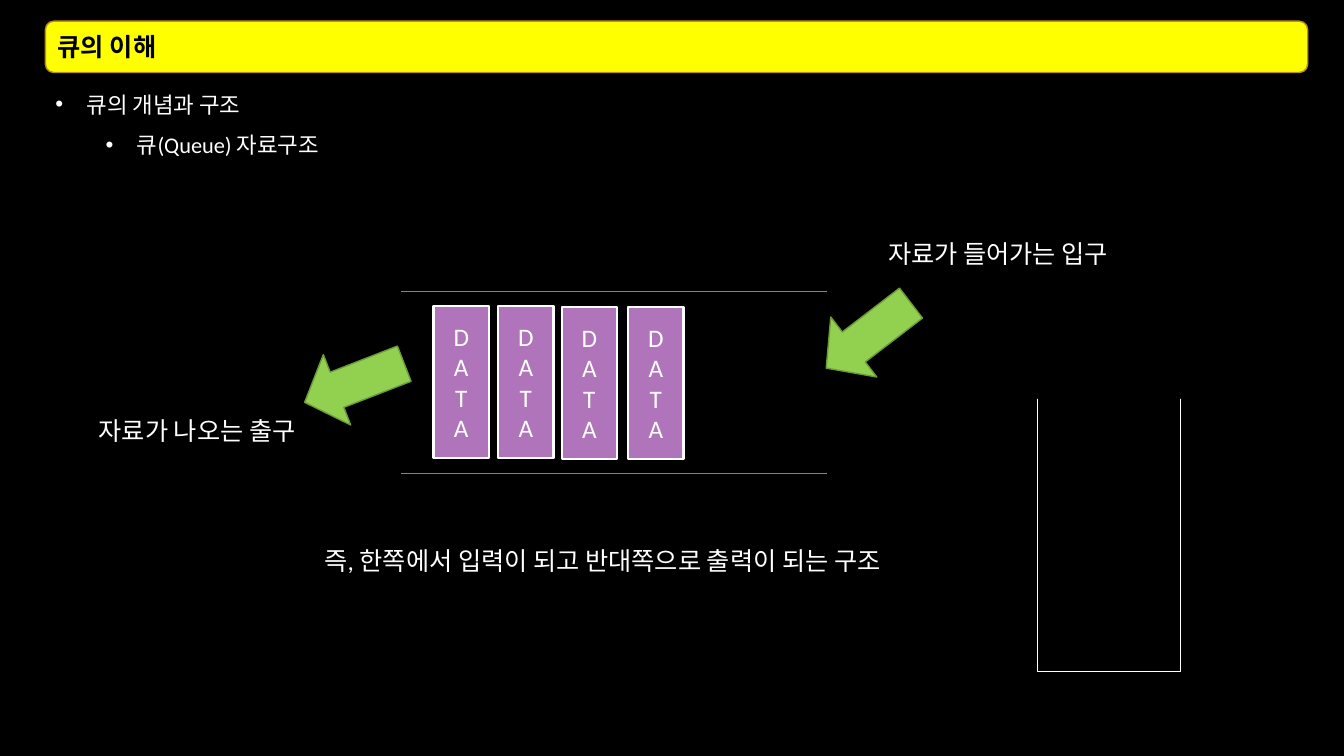
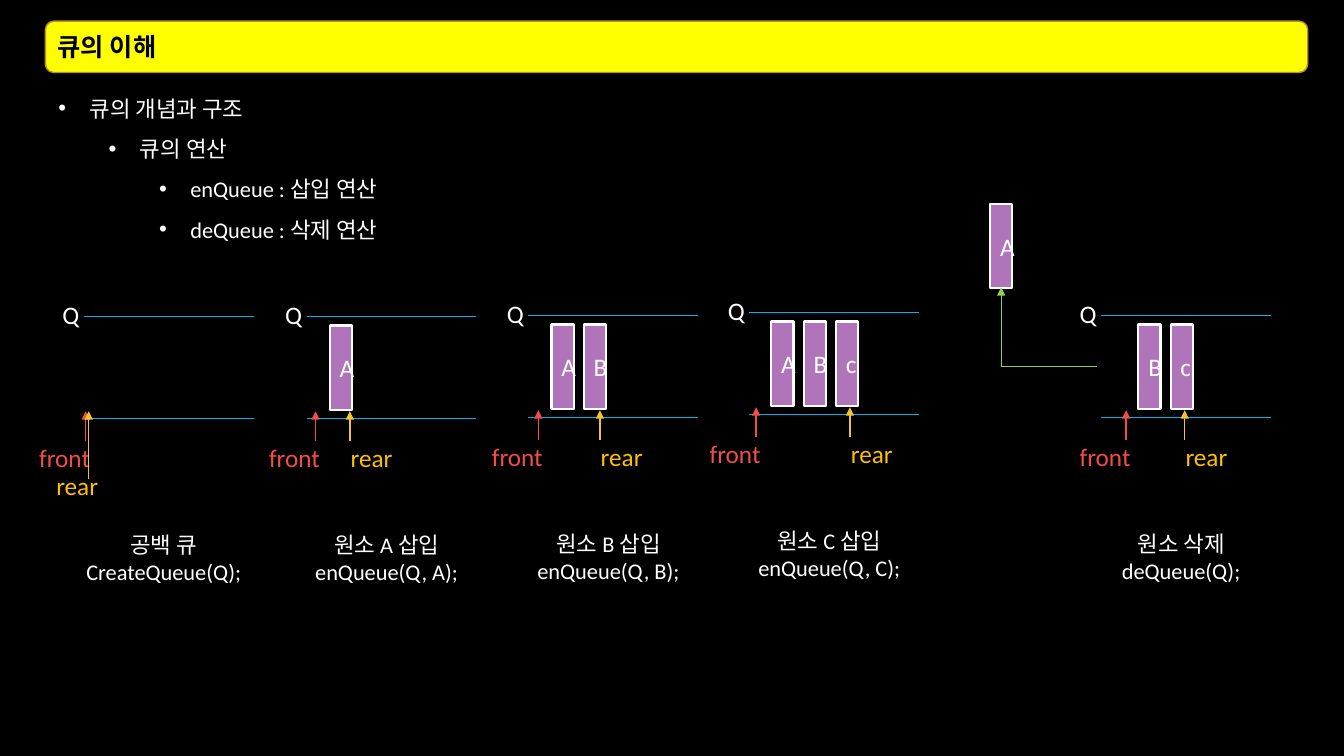
from dataclasses import dataclass
from typing import Any

import lxml.etree
import pptx
import pptx.dml.color
import pptx.enum.shapes
import pptx.enum.text
import pptx.oxml.ns
import pptx.shapes.autoshape
import pptx.shapes.connector
import pptx.slide
import pptx.text.text
import pptx.util

Inches = pptx.util.Inches
Preset = pptx.enum.shapes.MSO_SHAPE
Connector = pptx.enum.shapes.MSO_CONNECTOR
Align = pptx.enum.text.PP_ALIGN
Anchor = pptx.enum.text.MSO_ANCHOR
qn = pptx.oxml.ns.qn

COLORS = {
    "black": "000000", "white": "FFFFFF", "yellow": "FFFF00", "gold": "B79024",
    "blue": "00B0F0", "purple": "B074BA", "green": "92D050", "dark_green": "6C9A3B",
    "front": "F34D47", "rear_arrow": "F7C331", "rear": "FFC000",
}
FONT = "Calibri"


@dataclass(frozen=True)
class Box:
    left: float
    top: float
    width: float
    height: float

    def lengths(self) -> list[int]:
        return [Inches(v) for v in (self.left, self.top, self.width, self.height)]


@dataclass(frozen=True)
class Bullet:
    text: str
    level: int = 0


@dataclass(frozen=True)
class Pointer:
    name: str
    offset: float
    arrow_color: str
    label_shift: float
    label_drop: float = 0.0
    stem: float = 0.3


@dataclass(frozen=True)
class QueueState:
    caption: tuple[str, str]
    left: float
    top: float
    items: str
    first_item: float
    pointers: tuple[Pointer, Pointer]


def front(offset: float) -> Pointer:
    return Pointer("front", offset, "front", -0.56)


def rear(offset: float) -> Pointer:
    return Pointer("rear", offset, "rear_arrow", -0.09)


QUEUE_STATES = (
    QueueState(("공백 큐", "CreateQueue(Q);"), 0.79, 3.14, "", 0.27,
               (front(0.06), Pointer("rear", 0.09, "rear_arrow", -0.42, 0.28, 0.67))),
    QueueState(("원소 A 삽입", "enQueue(Q, A);"), 3.0, 3.14, "A", 0.27,
               (front(0.13), rear(0.47))),
    QueueState(("원소 B 삽입", "enQueue(Q, B);"), 5.2, 3.13, "AB", 0.27,
               (front(0.14), rear(0.75))),
    QueueState(("원소 C 삽입", "enQueue(Q, C);"), 7.39, 3.1, "ABc", 0.26,
               (front(0.11), rear(1.04))),
    QueueState(("원소 삭제", "deQueue(Q);"), 10.88, 3.13, "Bc", 0.41,
               (front(0.29), rear(0.87))),
)


def rgb(name: str) -> pptx.dml.color.RGBColor:
    return pptx.dml.color.RGBColor.from_string(COLORS[name])


def apply(target: Any, values: dict[str, Any]) -> None:
    for attribute, value in values.items():
        setattr(target, attribute, value)


def write(frame: pptx.text.text.TextFrame, lines: list[str], size: float = 18,
          color: str = "white", bold: bool = False,
          align: Align = Align.LEFT) -> None:
    for index, line in enumerate(lines):
        paragraph = frame.paragraphs[0] if index == 0 else frame.add_paragraph()
        paragraph.alignment = align
        run = paragraph.add_run()
        run.text = line
        apply(run.font, {"size": pptx.util.Pt(size), "name": FONT, "bold": bold})
        run.font.color.rgb = rgb(color)


def add_box(slide: pptx.slide.Slide, box: Box, fill: str = "black", line: str = "black",
            line_width: float = 1, preset: Preset = Preset.RECTANGLE,
            ) -> pptx.shapes.autoshape.Shape:
    shape = slide.shapes.add_shape(preset, *box.lengths())
    shape.shadow.inherit = False
    shape.fill.solid()
    shape.fill.fore_color.rgb = rgb(fill)
    shape.line.color.rgb = rgb(line)
    shape.line.width = pptx.util.Pt(line_width)
    return shape


def add_label(slide: pptx.slide.Slide, box: Box, lines: list[str], size: float = 18,
              color: str = "white", align: Align = Align.LEFT, wrap: bool = True) -> None:
    frame = slide.shapes.add_textbox(*box.lengths()).text_frame
    apply(frame, {"word_wrap": wrap,
                  "auto_size": pptx.enum.text.MSO_AUTO_SIZE.SHAPE_TO_FIT_TEXT})
    write(frame, lines, size, color, align=align)


def add_item(slide: pptx.slide.Slide, box: Box, letters: str) -> None:
    item = add_box(slide, box, "purple", "white", 1.5)
    write(item.text_frame, list(letters), align=Align.CENTER)


def add_arrow(slide: pptx.slide.Slide, start: tuple[float, float], end: tuple[float, float],
              color: str, width: float = 1, kind: Connector = Connector.STRAIGHT,
              head: str = "tailEnd") -> pptx.shapes.connector.Connector:
    ends = [Inches(v) for v in (*start, *end)]
    arrow = slide.shapes.add_connector(kind, *ends)
    arrow.line.color.rgb = rgb(color)
    arrow.line.width = pptx.util.Pt(width)
    lxml.etree.SubElement(arrow.line._get_or_add_ln(), qn(f"a:{head}"), type="triangle")
    lxml.etree.SubElement(arrow._element.spPr, qn("a:effectLst"))
    return arrow


def add_tube(slide: pptx.slide.Slide, box: Box) -> None:
    add_box(slide, box, line="blue")
    for across, down in ((0.984, -0.022), (-0.018, -0.039)):
        add_box(slide, Box(box.left + across * box.width, box.top + down * box.height,
                           0.037 * box.width, 1.055 * box.height))


def add_page(deck: Any, body: Box, bullets: list[Bullet]) -> pptx.slide.Slide:
    slide = deck.slides.add_slide(deck.slide_layouts[6])
    slide.background.fill.solid()
    slide.background.fill.fore_color.rgb = rgb("black")

    outline = add_box(slide, body).text_frame
    outline.vertical_anchor = Anchor.TOP
    write(outline, [bullet.text for bullet in bullets], 16)
    for paragraph, bullet in zip(outline.paragraphs, bullets):
        apply(paragraph, {"level": bullet.level, "line_spacing": 1.5})
        properties = paragraph._p.get_or_add_pPr()
        properties.set("marL", str(Inches(0.31 + 0.5 * bullet.level)))
        properties.set("indent", str(Inches(-0.31)))
        lxml.etree.SubElement(properties, qn("a:buFont"), typeface="Arial")
        lxml.etree.SubElement(properties, qn("a:buChar"), char="•")

    title = add_box(slide, Box(0.45, 0.21, 12.52, 0.51), "yellow", "gold",
                    preset=Preset.ROUNDED_RECTANGLE)
    title.text_frame.vertical_anchor = Anchor.MIDDLE
    write(title.text_frame, ["큐의 이해"], color="black", bold=True)
    return slide


def add_queue_state(slide: pptx.slide.Slide, state: QueueState) -> None:
    left, top = state.left, state.top
    add_label(slide, Box(left - 0.1, top + 2.08, 1.87, 0.64), list(state.caption), 16,
              align=Align.CENTER)
    add_tube(slide, Box(left, top, 1.76, 1.01))
    add_label(slide, Box(left - 0.27, top - 0.22, 0.38, 0.4), ["Q"], wrap=False)
    for index, letter in enumerate(state.items):
        add_item(slide, Box(left + state.first_item + 0.32 * index, top + 0.09, 0.22, 0.84),
                 letter)
    for pointer in state.pointers:
        x, tip = left + pointer.offset, top + 0.94
        add_arrow(slide, (x, tip + pointer.stem), (x, tip), pointer.arrow_color)
        add_label(slide, Box(x + pointer.label_shift, top + 1.2 + pointer.label_drop, 0.75, 0.4),
                  [pointer.name], color=pointer.name)


def build_structure(deck: Any) -> None:
    slide = add_page(deck, Box(0.45, 0.72, 12.48, 6.46),
                     [Bullet("큐의 개념과 구조"), Bullet("큐(Queue) 자료구조", 1)])
    for box, text in (
        (Box(8.71, 2.32, 2.71, 0.4), "자료가 들어가는 입구"),
        (Box(0.88, 4.07, 2.71, 0.4), "자료가 나오는 출구"),
        (Box(3.12, 5.36, 6.3, 0.4), "즉, 한쪽에서 입력이 되고 반대쪽으로 출력이 되는 구조"),
    ):
        add_label(slide, box, [text])
    add_tube(slide, Box(3.89, 2.89, 4.39, 1.81))
    for left, top, rotation in ((8.24, 2.8, 52.5), (3.14, 3.27, 68.8)):
        flow = add_box(slide, Box(left, top, 0.75, 1.06), "green", "dark_green",
                       preset=Preset.DOWN_ARROW)
        flow.adjustments[1] = 0.459
        flow.rotation = rotation
    for left, top in ((4.3, 3.04), (4.94, 3.04), (5.57, 3.05), (6.23, 3.05)):
        add_item(slide, Box(left, top, 0.55, 1.5), "DATA")
    add_box(slide, Box(10.29, 3.75, 1.42, 2.91), line="white")
    add_box(slide, Box(10.29, 3.65, 1.42, 0.3))


def build_operations(deck: Any) -> None:
    slide = add_page(deck, Box(0.48, 0.76, 12.48, 6.46),
                     [Bullet("큐의 개념과 구조"), Bullet("큐의 연산", 1),
                      Bullet("enQueue : 삽입 연산", 2), Bullet("deQueue : 삭제 연산", 2)])
    for state in QUEUE_STATES:
        add_queue_state(slide, state)
    add_item(slide, Box(9.82, 2.02, 0.22, 0.84), "A")
    removal = add_arrow(slide, (9.93, 2.85), (10.88, 3.63), "green", 0.5, Connector.ELBOW)
    removal._element.spPr.find(qn("a:prstGeom")).set("prst", "bentConnector2")
    removal._element.spPr.find(qn("a:xfrm")).set("rot", str(180 * 60000))


def main() -> None:
    deck = pptx.Presentation()
    apply(deck, {"slide_width": Inches(13.33), "slide_height": Inches(7.5)})
    build_structure(deck)
    build_operations(deck)
    deck.save("out.pptx")


if __name__ == "__main__":
    main()
